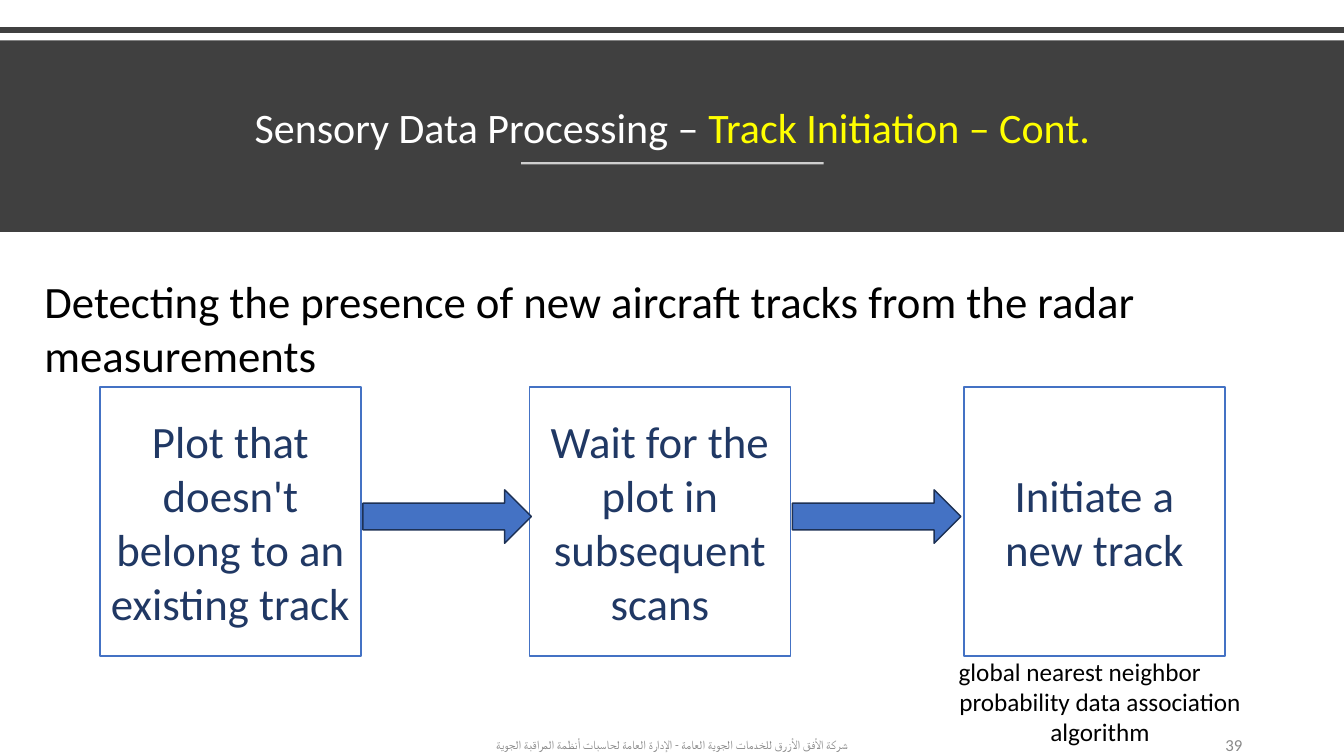
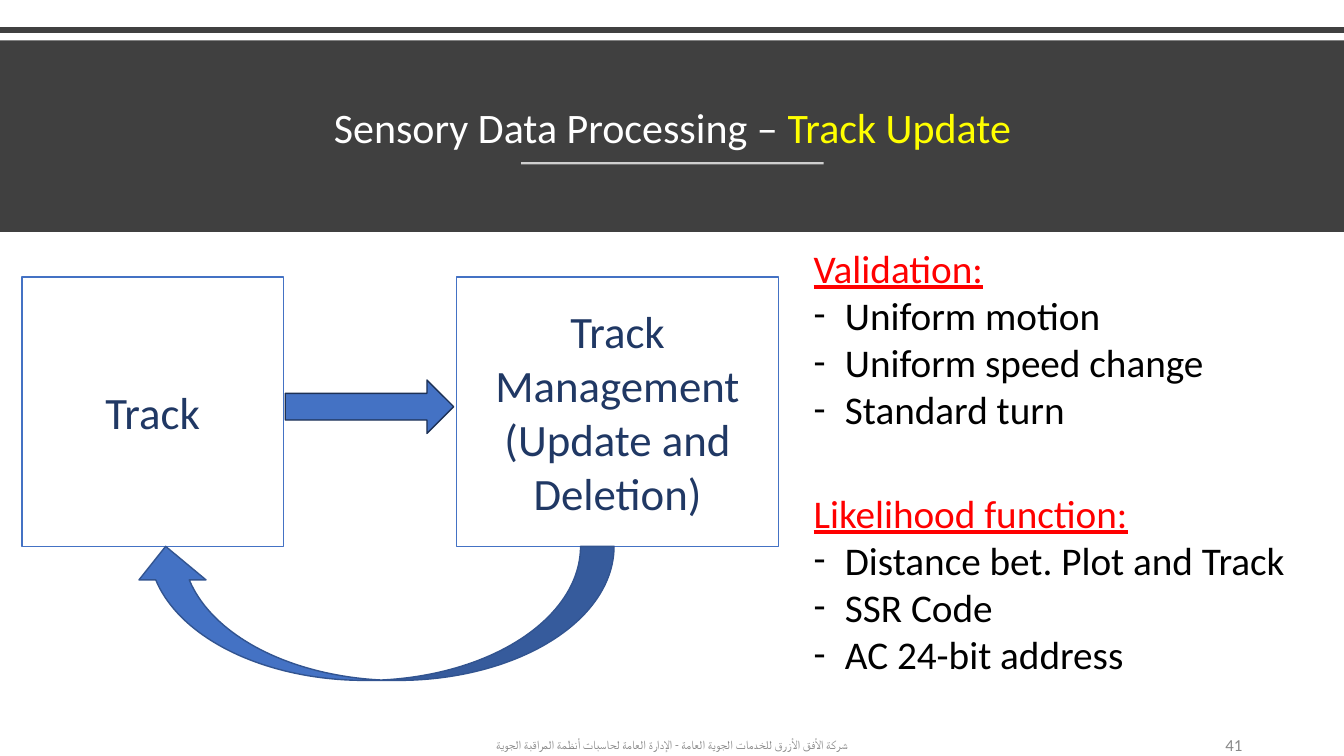
from dataclasses import dataclass

from lxml.etree import SubElement
from pptx import Presentation
from pptx.dml.color import RGBColor
from pptx.enum.shapes import MSO_CONNECTOR as CONN, MSO_SHAPE as SHAPE
from pptx.enum.text import MSO_ANCHOR as ANCHOR, MSO_AUTO_SIZE as AUTO, PP_ALIGN as ALIGN
from pptx.oxml.ns import qn
from pptx.util import Pt

PX = 9144  # 100 px per inch
WIDTH, HEIGHT = 1333, 750
FONT = "Calibri"
WHITE, BLACK, DARK, GREY = "FFFFFF", "000000", "404040", "898989"
YELLOW, RED, BLUE, NAVY = "FFFF00", "FF0000", "4472C4", "203864"
ARROW_EDGE, CURVE_EDGE = "1D3155", "325490"
FOOTER = "شركة الأفق الأزرق للخدمات الجوية العامة - الإدارة العامة لحاسبات أنظمة المراقبة الجوية"
INDENT = 31
BOX_H, ARROW_W, ARROW_H = 267, 167, 53


@dataclass(frozen=True)
class Rect:
    x: int
    y: int
    w: int
    h: int

    def emu(self) -> tuple[int, ...]:
        return tuple(v * PX for v in (self.x, self.y, self.w, self.h))


@dataclass(frozen=True)
class Step:
    x: int
    w: int
    text: str


@dataclass(frozen=True)
class Criteria:
    y: int
    heading: str
    items: tuple[str, ...]


INITIATION = (
    Step(99, 259, "Plot that doesn't belong to an existing track"),
    Step(525, 259, "Wait for the plot in subsequent scans"),
    Step(956, 259, "Initiate a new track"),
)
UPDATE = (
    Step(22, 259, "Track"),
    Step(453, 319, "Track Management (Update and Deletion)"),
)
CRITERIA = (
    Criteria(237, "Validation:",
             ("Uniform motion", "Uniform speed change", "Standard turn")),
    Criteria(480, "Likelihood function:",
             ("Distance bet. Plot and Track", "SSR Code", "AC 24-bit address")),
)


def rgb(color: str) -> RGBColor:
    return RGBColor.from_string(color)


def add_run(p, text: str, size: float, color: str, underline: bool = False) -> None:
    r = p.add_run()
    r.text = text
    r.font.name, r.font.size = FONT, Pt(size)
    r.font.color.rgb = rgb(color)
    SubElement(r._r.get_or_add_rPr(), qn("a:cs")).set("typeface", FONT)
    if underline:
        r.font.underline = True


def set_bullet(p, char: str = "") -> None:
    """Give the paragraph a hanging bullet, or none at all."""
    pPr = p._p.get_or_add_pPr()
    indent = INDENT * PX if char else 0
    pPr.set("marL", str(indent))
    pPr.set("indent", str(-indent))
    if char:
        SubElement(pPr, qn("a:buFont")).set("typeface", FONT)
        SubElement(pPr, qn("a:buChar")).set("char", char)
    else:
        SubElement(pPr, qn("a:buNone"))
    p.space_before = Pt(0)


def place(sp, rect: Rect, anchor=ANCHOR.TOP):
    """Move a text shape, fix its frame and return the frame."""
    sp.left, sp.top, sp.width, sp.height = rect.emu()
    tf = sp.text_frame
    tf.word_wrap, tf.auto_size, tf.vertical_anchor = True, AUTO.NONE, anchor
    return tf


def add_label(s, rect: Rect, text: str, size: float, color: str, align) -> None:
    tf = place(s.shapes.add_textbox(*rect.emu()), rect, ANCHOR.MIDDLE)
    p = tf.paragraphs[0]
    p.alignment = align
    add_run(p, text, size, color)


def add_shape(s, kind, rect: Rect, fill: str, edge: str = ""):
    sp = s.shapes.add_shape(kind, *rect.emu())
    sp.shadow.inherit = False
    sp.fill.solid()
    sp.fill.fore_color.rgb = rgb(fill)
    if edge:
        sp.line.color.rgb = rgb(edge)
        sp.line.width = Pt(1)
    else:
        sp.line.fill.background()
    return sp


def add_rule(s, x1: int, x2: int, y: int, color: str, width: float, opacity: int = 100) -> None:
    line = s.shapes.add_connector(CONN.STRAIGHT, x1 * PX, y * PX, x2 * PX, y * PX)
    line.line.color.rgb = rgb(color)
    line.line.width = Pt(width)
    SubElement(line._element.spPr, qn("a:effectLst"))
    if opacity < 100:
        clr = next(line._element.iter(qn("a:srgbClr")))
        SubElement(clr, qn("a:alpha")).set("val", str(opacity * 1000))


def add_slide(prs, layout: int, topic: str, number: int):
    """Add a slide with the shared band, title, rules and footer."""
    s = prs.slides.add_slide(prs.slide_layouts[layout])
    add_rule(s, 0, WIDTH, 30, DARK, 4)
    add_shape(s, SHAPE.RECTANGLE, Rect(0, 40, WIDTH, 190), DARK)
    title = s.shapes.title
    s.shapes.element.append(title.element)  # in front of the band
    tf = place(title, Rect(58, 54, 1218, 102), ANCHOR.BOTTOM)
    p = tf.paragraphs[0]
    p.alignment, p.line_spacing = ALIGN.CENTER, 0.9
    add_run(p, "Sensory Data Processing – ", 30, WHITE)
    add_run(p, topic, 30, YELLOW)
    add_rule(s, 517, 817, 162, WHITE, 1.5, 75)
    add_label(s, Rect(442, 720, 450, 38), FOOTER, 8.8, GREY, ALIGN.CENTER)
    add_label(s, Rect(942, 720, 300, 38), str(number), 12, GREY, ALIGN.RIGHT)
    return s


def add_flow(s, steps: tuple[Step, ...], y: int) -> None:
    """Draw a row of boxes, with an arrow leaving each one but the last."""
    for i, step in enumerate(steps):
        rect = Rect(step.x, y, step.w, BOX_H)
        box = add_shape(s, SHAPE.RECTANGLE, rect, WHITE, BLUE)
        p = place(box, rect, ANCHOR.MIDDLE).paragraphs[0]
        p.alignment = ALIGN.CENTER
        add_run(p, step.text, 32, NAVY)
    for step in steps[:-1]:
        arrow = Rect(step.x + step.w + 2, y + 102, ARROW_W, ARROW_H)
        add_shape(s, SHAPE.RIGHT_ARROW, arrow, BLUE, ARROW_EDGE)


def add_criteria(body, criteria: Criteria) -> None:
    tf = place(body, Rect(797, criteria.y, 500, 197))
    p = tf.paragraphs[0]
    set_bullet(p)
    add_run(p, criteria.heading, 28, RED, underline=True)
    for item in criteria.items:
        p = tf.add_paragraph()
        set_bullet(p, "-")
        add_run(p, item, 28, BLACK)


def build_initiation(prs) -> None:
    s = add_slide(prs, 1, "Track Initiation – Cont.", 39)
    p = place(s.placeholders[1], Rect(34, 267, 1270, 117)).paragraphs[0]
    set_bullet(p)
    add_run(p, "Detecting the presence of new aircraft tracks from the radar measurements", 32, BLACK)
    add_flow(s, INITIATION, 384)

    rect = Rect(941, 646, 300, 100)
    tf = place(s.shapes.add_textbox(*rect.emu()), rect)
    add_run(tf.paragraphs[0], "global nearest neighbor", 18, BLACK)
    p = tf.add_paragraph()
    p.alignment = ALIGN.CENTER
    add_run(p, "probability data association algorithm", 18, BLACK)


def build_update(prs) -> None:
    s = add_slide(prs, 3, "Track Update", 41)
    add_flow(s, UPDATE, 275)
    loop = add_shape(s, SHAPE.CURVED_DOWN_ARROW, Rect(131, 542, 478, 133), BLUE, CURVE_EDGE)
    loop.rotation = 180
    for idx, criteria in enumerate(CRITERIA, start=1):
        add_criteria(s.placeholders[idx], criteria)


def main() -> None:
    prs = Presentation()
    prs.slide_width, prs.slide_height = WIDTH * PX, HEIGHT * PX
    build_initiation(prs)
    build_update(prs)
    prs.save("out.pptx")


if __name__ == "__main__":
    main()
